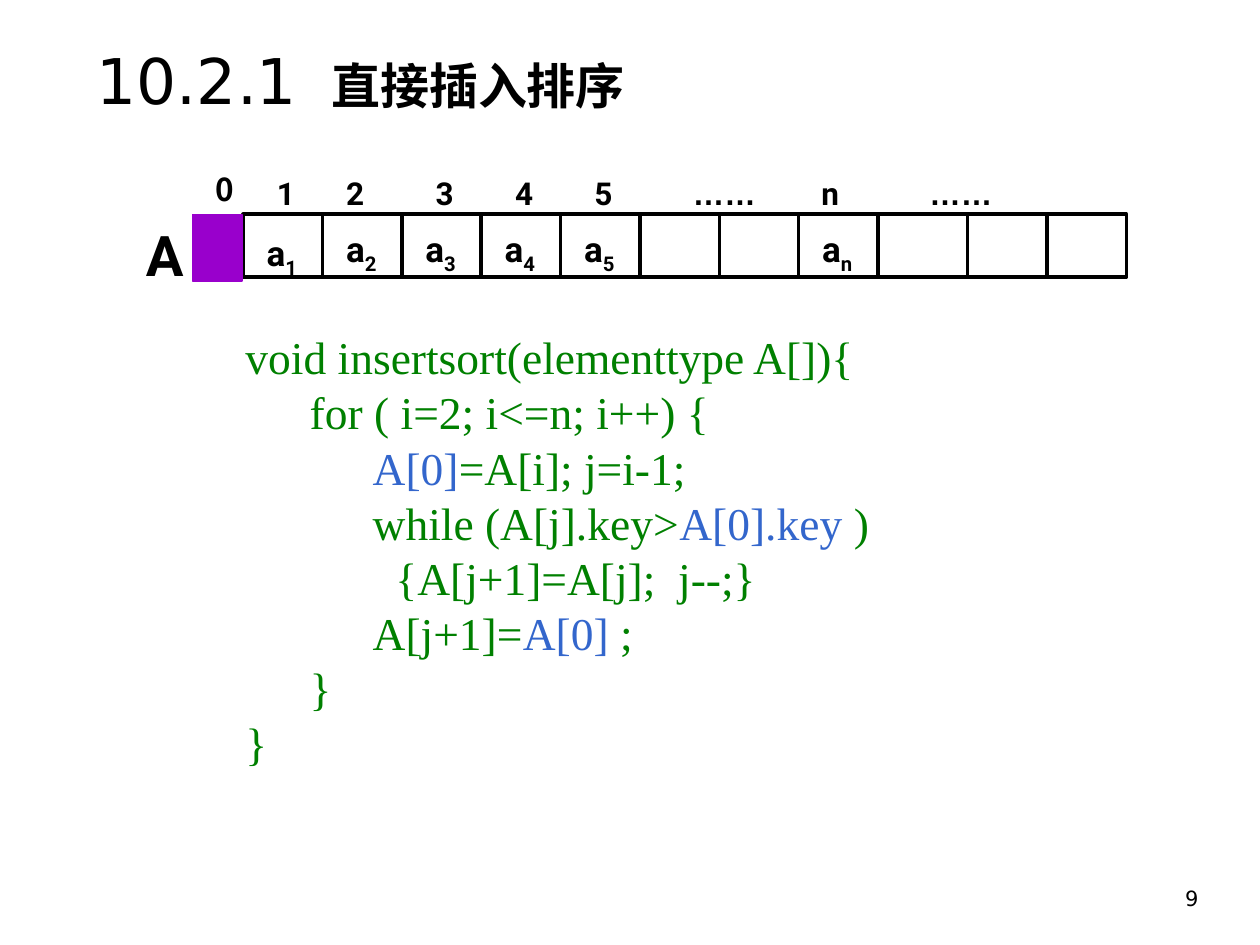
from collections import namedtuple
from itertools import accumulate

from lxml.etree import SubElement
from pptx import Presentation
from pptx.dml.color import RGBColor
from pptx.enum.shapes import MSO_CONNECTOR, MSO_SHAPE
from pptx.enum.text import MSO_ANCHOR, PP_ALIGN
from pptx.oxml.ns import qn
from pptx.util import Emu, Inches, Pt

COLORS = {"ink": "000000", "sentinel": "9900CC", "code": "008000", "guard": "3366CC"}
COLUMNS, ROWS = 100, 75  # page grid
UNIT = Inches(10) // COLUMNS
CELL_SHARES = [1] * 8 + [1.13, 1, 1]

# Left edges are (cell number, share of a cell)
INDEXES = [("1", 0, 0.27, 3.4, "Roboto"), ("2", 1, 0.14, 3.4, "Roboto"),
           ("3", 2, 0.27, 3.4, "Roboto"), ("4", 3, 0.27, 3.4, "Roboto"),
           ("5", 4, 0.27, 3.4, "Roboto"), ("n", 7, 0.13, 3.6, "Roboto"),
           ("……", 5, 0.51, 7, "Arial"), ("……", 8, 0.49, 7, "Arial")]
ITEMS = [("1", 0), ("2", 1), ("3", 2), ("4", 3), ("5", 4), ("n", 7)]

CODE = [
    [("void insertsort(elementtype A[]){", "code")],
    [("\tfor ( i=2; i<=n; i++) {", "code")],
    [("\t\t", "code"), ("A[0]", "guard"), ("=A[i]; j=i-1;", "code")],
    [("\t\twhile (A[j].key>", "code"), ("A[0].key", "guard"), (" )", "code")],
    [("\t\t  {A[j+1]=A[j];  j--;}", "code")],
    [("\t\tA[j+1]=", "code"), ("A[0]", "guard"), (" ;", "code")],
    [("\t}", "code")],
    [("}", "code")],
]

Box = namedtuple("Box", "left top width height")


def grid(box):
    return [Emu(round(value * UNIT)) for value in box]


def color(name):
    return RGBColor.from_string(COLORS[name])


def set_font(font, size, name, bold=False):
    font.size, font.name, font.bold = Pt(size), name, bold
    font.color.rgb = color("ink")


def add_text(page, box, text="", size=18, name="Roboto", bold=True, wrap=False):
    """Add a text box and return its first paragraph and its frame."""
    frame = page.shapes.add_textbox(*grid(box)).text_frame
    frame.word_wrap = wrap
    para = frame.paragraphs[0]
    if text:
        para.add_run().text = text
    set_font(para.font, size, name, bold)
    return para, frame


def add_rect(page, box, line, width, fill=None):
    rect = page.shapes.add_shape(MSO_SHAPE.RECTANGLE, *grid(box))
    rect.shadow.inherit = False
    if fill:
        rect.fill.solid()
        rect.fill.fore_color.rgb = color(fill)
    else:
        rect.fill.background()
    rect.line.color.rgb = color(line)
    rect.line.width = Pt(width)


def add_divider(page, x, box):
    left, top, right, bottom = grid((x, box.top, x, box.top + box.height))
    line = page.shapes.add_connector(MSO_CONNECTOR.STRAIGHT, left, top, right, bottom)
    line.line.color.rgb = color("ink")
    line.line.width = Pt(2)
    SubElement(line._element.spPr, qn("a:effectLst"))


def add_title(page, box):
    para, frame = add_text(page, box, size=36, name="DejaVu Sans", bold=False, wrap=True)
    frame.vertical_anchor = MSO_ANCHOR.BOTTOM
    number, gap, topic = (para.add_run() for _ in range(3))
    number.text, gap.text, topic.text = "10.2.1", " ", "直接插入排序"
    gap._r.get_or_add_rPr().set("spc", "800")
    set_font(topic.font, 28, "Cambria", True)
    SubElement(topic._r.rPr, qn("a:ea"), typeface="Noto Sans CJK SC")


def add_array(page, box):
    """Draw the cells with indexes above, items inside and the sentinel at the left."""
    cell, row = box.width / sum(CELL_SHARES), box.height
    edges = [box.left + cell * share for share in accumulate(CELL_SHARES, initial=0)]
    add_rect(page, box, "ink", 2)
    for x in edges[1:-1]:
        add_divider(page, x, box)

    add_text(page, Box(box.left - 8.7, box.top, 5, 6.4), "A", 32)
    for text, number, shift, width, name in INDEXES:
        place = Box(edges[number] + shift * cell, box.top - 0.74 * row, width, 0.8 * row)
        add_text(page, place, text, name=name)
    for text, number in ITEMS:
        drop = 0.18 if number == 0 else 0.12
        place = Box(edges[number] + 0.14 * cell, box.top + drop * row, 4.6, 0.96 * row)
        para, _ = add_text(page, place, "a", 20)
        subscript = para.add_run()
        subscript.text = text
        subscript._r.get_or_add_rPr().set("baseline", "-25000")

    add_rect(page, Box(box.left - 4, box.top, 3.9, 5.3), "sentinel", 0.75, "sentinel")
    add_text(page, Box(box.left - 3.2, box.top - 4, 3.1, 4), "0",
             name="Noto Sans CJK SC", wrap=True)


def add_code(page, box):
    first, frame = add_text(page, box, wrap=True)
    for number, spans in enumerate(CODE):
        para = frame.add_paragraph() if number else first
        props = para._p.get_or_add_pPr()
        props.set("marL", str(Inches(0.51)))
        props.set("indent", str(-Inches(0.51)))
        para.line_spacing = 0.8
        para.space_before = Pt(6.5 if number else 0)
        if number:
            stops = SubElement(props, qn("a:tabLst"))
            SubElement(stops, qn("a:tab"), pos=str(Inches(1)), algn="l")
        set_font(para.font, 26, "Times New Roman")
        for text, tint in spans:
            span = para.add_run()
            span.text = text
            span.font.color.rgb = color(tint)


def add_page_number(page, box):
    para, _ = add_text(page, box, "9", 12, "DejaVu Sans", False, True)
    para.alignment = PP_ALIGN.RIGHT


def main():
    deck = Presentation()
    deck.slide_width, deck.slide_height = COLUMNS * UNIT, ROWS * UNIT
    page = deck.slides.add_slide(deck.slide_layouts[6])
    add_page_number(page, Box(74.4, 69.8, 21.7, 5.2))
    add_title(page, Box(6.7, 3.6, 87.5, 6.2))
    add_code(page, Box(18.5, 26.5, 72.4, 38.6))
    add_array(page, Box(19.3, 17, 70.1, 5))
    deck.save("out.pptx")


if __name__ == "__main__":
    main()
